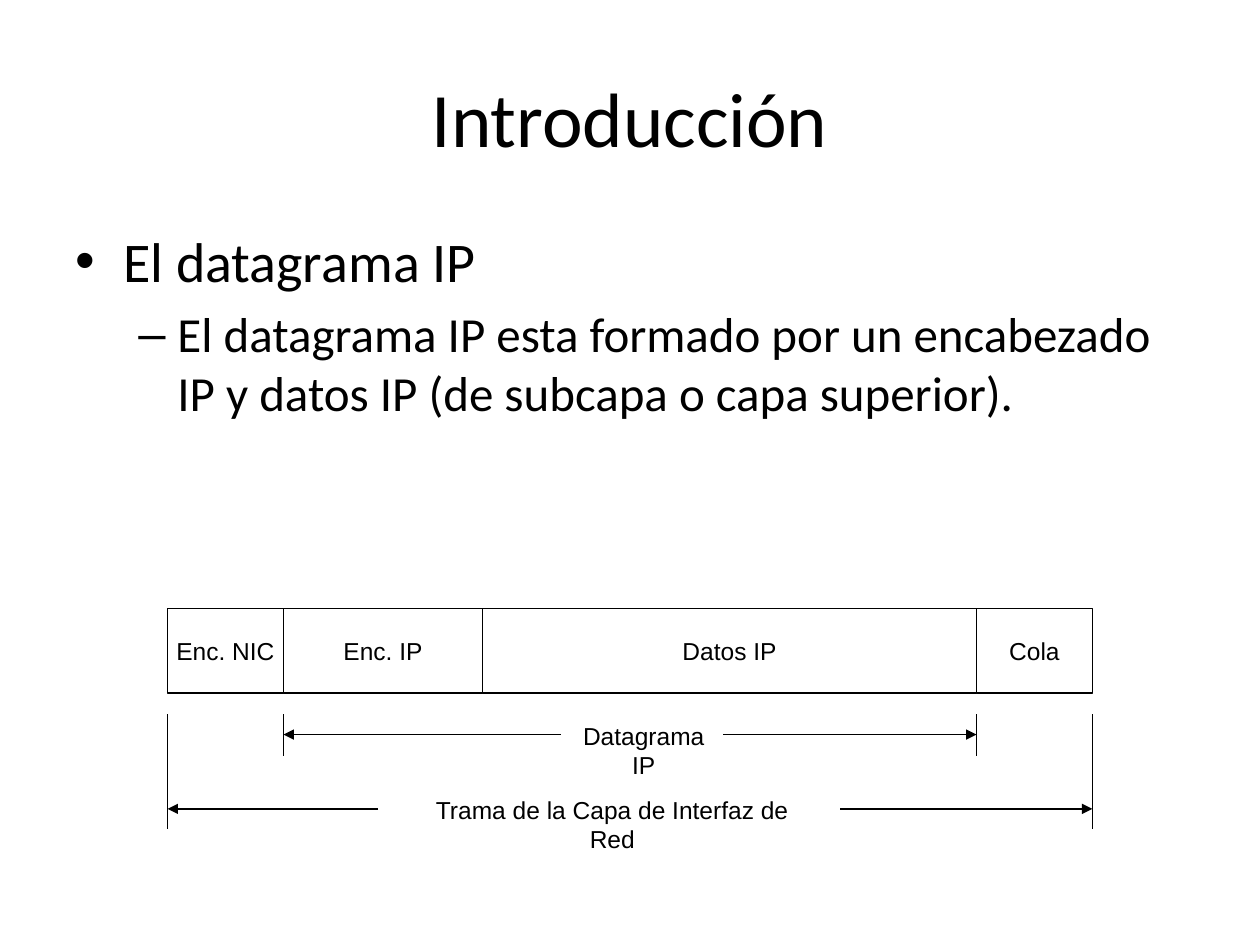
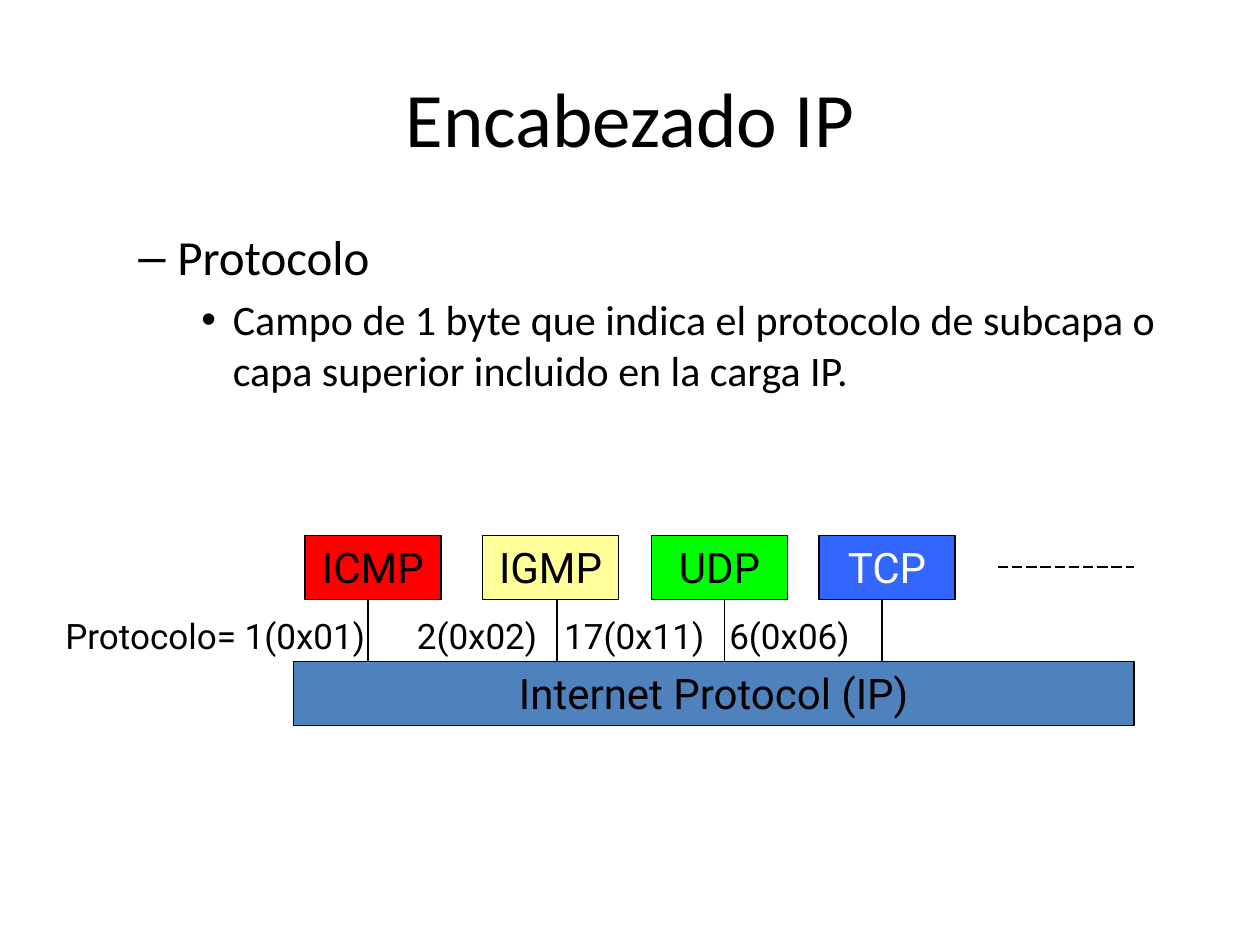
from pptx import Presentation
from pptx.dml.color import RGBColor
from pptx.enum.dml import MSO_LINE
from pptx.enum.shapes import MSO_CONNECTOR as Conn, MSO_SHAPE as Shape
from pptx.enum.text import MSO_ANCHOR as Anchor, PP_ALIGN as Align
from pptx.oxml.ns import qn
from pptx.util import Inches, Pt
from lxml.etree import SubElement

BLACK = RGBColor(0, 0, 0)
WHITE = RGBColor(255, 255, 255)
RED = RGBColor(255, 0, 0)
YELLOW = RGBColor(255, 255, 153)
GREEN = RGBColor(0, 255, 0)
BLUE = RGBColor(51, 102, 255)
STEEL = RGBColor(79, 129, 189)

# Content: body items are (level, text)
INTRO = ("Introducción", [
    (0, "El datagrama IP"),
    (1, "El datagrama IP esta formado por un encabezado IP y datos IP "
        "(de subcapa o capa superior)."),
])
HEADER = ("Encabezado IP", [
    (1, "Protocolo"),
    (2, "Campo de 1 byte que indica el protocolo de subcapa o capa superior "
        "incluido en la carga IP."),
])
# Bullet, text indent, hanging indent, size
LEVELS = [("•", 0.38, 0.38, 32), ("–", 0.81, 0.31, 28), ("•", 1.25, 0.25, 24)]

# Frame fields and the edges between them
FIELDS = ["Enc. NIC", "Enc. IP", "Datos IP", "Cola"]
EDGES = [1.33, 2.25, 3.83, 7.75, 8.67]
# Text, label left and width, first and last edge, inner arrow ends, y, tick end
SPANS = [
    ("Datagrama IP", 4.41, 1.4, 1, 3, 4.45, 5.74, 5.83, 6),
    ("Trama de la Capa de Interfaz de Red", 3.16, 3.4, 0, 4, 3, 6.67, 6.42, 6.58),
]

# Name, left, fill, text colour, x of the link
PROTOS = [
    ("ICMP", 2.42, RED, BLACK, 2.92),
    ("IGMP", 3.83, YELLOW, BLACK, 4.42),
    ("UDP", 5.17, GREEN, BLACK, 5.75),
    ("TCP", 6.5, BLUE, WHITE, 7),
]
CODES = ["Protocolo= 1(0x01)", "2(0x02)", "17(0x11)", "6(0x06)"]
TABS = [2.79, 3.96, 5.27]


def write(shape, text, size=14, font="Arial", color=BLACK, align=Align.CENTER,
          anchor=Anchor.MIDDLE, wrap=True, side=0.1):
    """Fill a shape with text, given as a string or as (level, text) items."""
    frame = shape.text_frame
    frame.word_wrap = wrap
    frame.vertical_anchor = anchor
    frame.margin_left = frame.margin_right = Inches(side)
    items = [(None, text)] if isinstance(text, str) else text
    for i, (level, words) in enumerate(items):
        para = frame.add_paragraph() if i else frame.paragraphs[0]
        para.alignment = align
        if level is not None:
            mark, left, hang, size = LEVELS[level]
            props = para._p.get_or_add_pPr()
            props.set("marL", str(Inches(left)))
            props.set("indent", str(-Inches(hang)))
            para.space_before = Pt(0.2 * size if i else 0)
            SubElement(props, qn("a:buFont"), typeface="Arial")
            SubElement(props, qn("a:buChar"), char=mark)
        run = para.add_run()
        run.text = words
        run.font.size = Pt(size)
        run.font.name = font
        run.font.color.rgb = color
    return frame


def text_box(slide, x, y, w, h, text, **style):
    box = slide.shapes.add_textbox(*map(Inches, (x, y, w, h)))
    return write(box, text, **style)


def rect(slide, x, y, w, h, text, fill=WHITE, edge=True, **style):
    box = slide.shapes.add_shape(Shape.RECTANGLE, *map(Inches, (x, y, w, h)))
    box.shadow.inherit = False
    box.fill.solid()
    box.fill.fore_color.rgb = fill
    if edge:
        box.line.color.rgb = BLACK
        box.line.width = Pt(0.75)
    else:
        box.line.fill.background()
    write(box, text, **style)


def line(slide, x1, y1, x2, y2, arrow=False, dash=None):
    link = slide.shapes.add_connector(
        Conn.STRAIGHT, *map(Inches, (x1, y1, x2, y2)))
    link.line.color.rgb = BLACK
    link.line.width = Pt(0.75)
    if dash:
        link.line.dash_style = dash
    if arrow:
        SubElement(link.line._get_or_add_ln(), qn("a:tailEnd"), type="triangle")
    SubElement(link._element.spPr, qn("a:effectLst"))


def new_slide(deck, title, body):
    slide = deck.slides.add_slide(deck.slide_layouts[6])
    text_box(slide, 0.5, 0.3, 9, 1.25, title, size=44, font="Calibri")
    text_box(slide, 0.5, 1.75, 9, 4.95, body, font="Calibri",
             align=Align.LEFT, anchor=Anchor.TOP)
    return slide


def draw_frame(slide):
    # Row of fields
    for text, left, right in zip(FIELDS, EDGES, EDGES[1:]):
        rect(slide, left, 4.83, right - left, 0.67, text, wrap=False)
    # Measures below the row
    for text, x, w, first, last, start, end, y, foot in SPANS:
        rect(slide, x, y - 0.16, w, 0.33, text, edge=False,
             anchor=Anchor.TOP, side=0.12)
        for inner, edge in ((start, EDGES[first]), (end, EDGES[last])):
            line(slide, edge, 5.67, edge, foot)
            line(slide, inner, y, edge, y, arrow=True)


def draw_stack(slide):
    style = dict(font="Roboto", anchor=Anchor.TOP)
    # Lower layer, then the protocols above it
    rect(slide, 2.33, 5.25, 6.67, 0.51, "Internet Protocol (IP)",
         fill=STEEL, size=24, **style)
    for name, left, fill, color, x in PROTOS:
        rect(slide, left, 4.25, 1.08, 0.51, name, fill=fill, color=color,
             size=24, **style)
        line(slide, x, 4.75, x, 5.25)
    line(slide, 7.92, 4.5, 9, 4.5, dash=MSO_LINE.LONG_DASH)
    # Protocol numbers, spaced by tab stops
    frame = text_box(slide, 0.42, 4.83, 8, 0.43, "\t".join(CODES), size=20,
                     align=Align.LEFT, **style)
    stops = SubElement(frame.paragraphs[0]._p.get_or_add_pPr(), qn("a:tabLst"))
    for stop in TABS:
        SubElement(stops, qn("a:tab"), pos=str(Inches(stop)), algn="l")


def main():
    deck = Presentation()
    deck.slide_width, deck.slide_height = Inches(10), Inches(7.5)
    draw_frame(new_slide(deck, *INTRO))
    draw_stack(new_slide(deck, *HEADER))
    deck.save("out.pptx")


if __name__ == "__main__":
    main()
